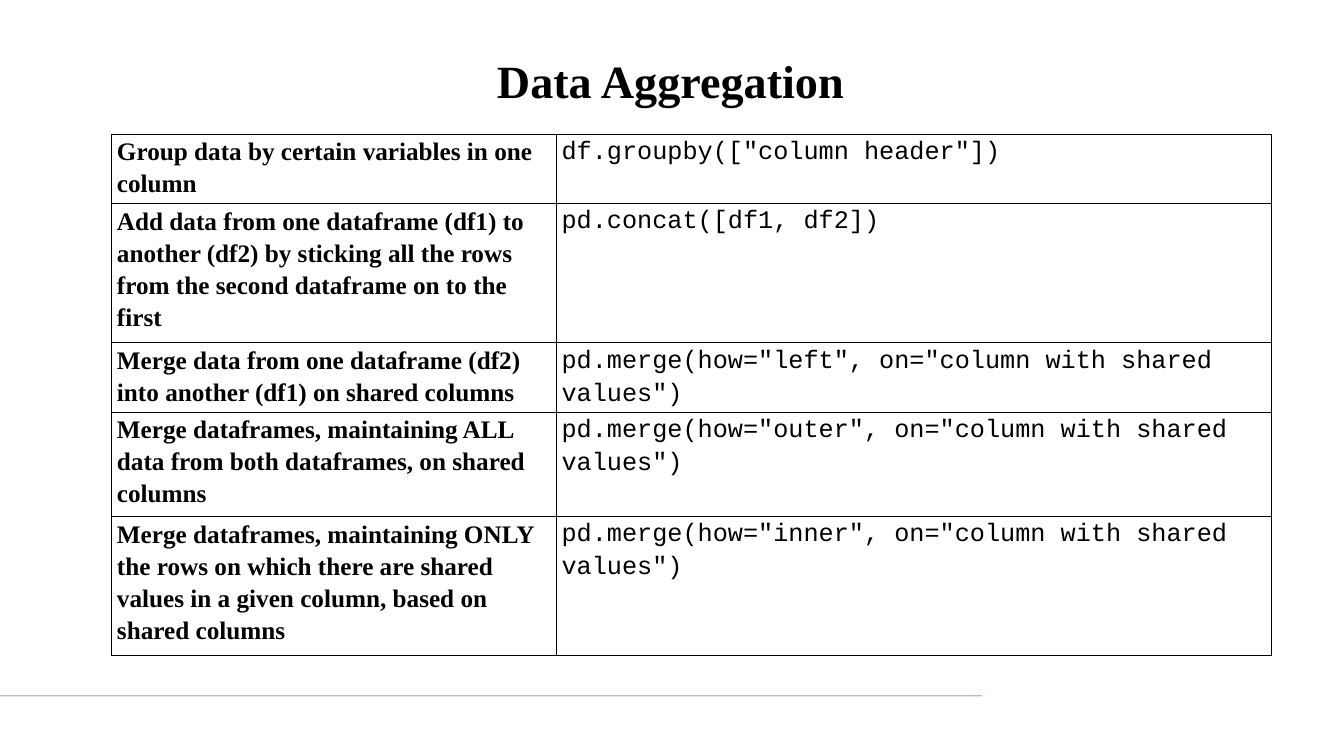
from lxml.etree import SubElement
from pptx import Presentation
from pptx.dml.color import RGBColor
from pptx.enum.shapes import MSO_SHAPE
from pptx.enum.text import MSO_ANCHOR, PP_ALIGN
from pptx.oxml.ns import qn
from pptx.util import Cm, Pt

TITLE = "Data Aggregation"
ROWS = [
    ("Group data by certain variables in one column",
     'df.groupby(["column header"])'),
    ("Add data from one dataframe (df1) to another (df2) by sticking all "
     "the rows from the second dataframe on to the first",
     "pd.concat([df1, df2])"),
    ("Merge data from one dataframe (df2) into another (df1) on shared columns",
     'pd.merge(how="left", on="column with shared values")'),
    ("Merge dataframes, maintaining ALL data from both dataframes, "
     "on shared columns",
     'pd.merge(how="outer", on="column with shared values")'),
    ("Merge dataframes, maintaining ONLY the rows on which there are shared "
     "values in a given column, based on shared columns",
     'pd.merge(how="inner", on="column with shared values")'),
]
WIDTHS = [14.94, 24.03]
HEIGHTS = [2.33, 4.68, 2.33, 3.5, 4.68]
INK, RULE = "000000", "BC0940"
HEAD = {"name": "Times New Roman", "size": Pt(44), "bold": True}
FONTS = [
    {"name": "Times New Roman", "size": Pt(24), "bold": True},
    {"name": "Courier New", "size": Pt(24), "bold": False},
]
PARA = {"line_spacing": 1.15, "space_after": Pt(8), "alignment": PP_ALIGN.LEFT}
PAD = {"margin_left": Cm(0.18), "margin_right": Cm(0.18),
       "margin_top": 0, "margin_bottom": 0}
BOX = {"left": Cm(1.68), "top": Cm(1.63), "width": Cm(41.7), "height": Cm(2.13)}


def put(item, values):
    for key, value in values.items():
        setattr(item, key, value)


def paint(color, tone):
    color.rgb = RGBColor.from_string(tone)


def write(frame, text, font, para):
    line = frame.paragraphs[0]
    put(line, para)
    run = line.add_run()
    run.text = text
    put(run.font, font)
    paint(run.font.color, INK)


def edge(cell):
    props = cell._tc.get_or_add_tcPr()
    for side in ("lnL", "lnR", "lnT", "lnB"):
        line = SubElement(props, qn(f"a:{side}"), w=str(Pt(1)))
        fill = SubElement(line, qn("a:solidFill"))
        SubElement(fill, qn("a:srgbClr"), val=INK)


def main():
    deck = Presentation()
    put(deck, {"slide_width": Cm(45.16), "slide_height": Cm(25.4)})
    slide = deck.slides.add_slide(deck.slide_layouts[5])

    rule = slide.shapes.add_shape(
        MSO_SHAPE.RECTANGLE, 0, Cm(23.37), Cm(33), Cm(0.02))
    rule.fill.solid()
    paint(rule.fill.fore_color, RULE)
    rule.line.fill.background()
    rule.shadow.inherit = False

    title = slide.shapes.title
    put(title, BOX)
    put(title.text_frame, {"vertical_anchor": MSO_ANCHOR.MIDDLE,
                           "word_wrap": True})
    write(title.text_frame, TITLE, HEAD, {"alignment": PP_ALIGN.CENTER})

    table = slide.shapes.add_table(
        len(ROWS), len(WIDTHS), Cm(3.75), Cm(4.51),
        Cm(sum(WIDTHS)), Cm(sum(HEIGHTS))).table
    put(table, {"first_row": False, "horz_banding": False})
    for col, width in zip(table.columns, WIDTHS):
        col.width = Cm(width)
    for row, height, texts in zip(table.rows, HEIGHTS, ROWS):
        row.height = Cm(height)
        for cell, text, font in zip(row.cells, texts, FONTS):
            put(cell, PAD)
            edge(cell)
            cell.fill.background()
            write(cell.text_frame, text, font, PARA)

    deck.save("out.pptx")


if __name__ == "__main__":
    main()
